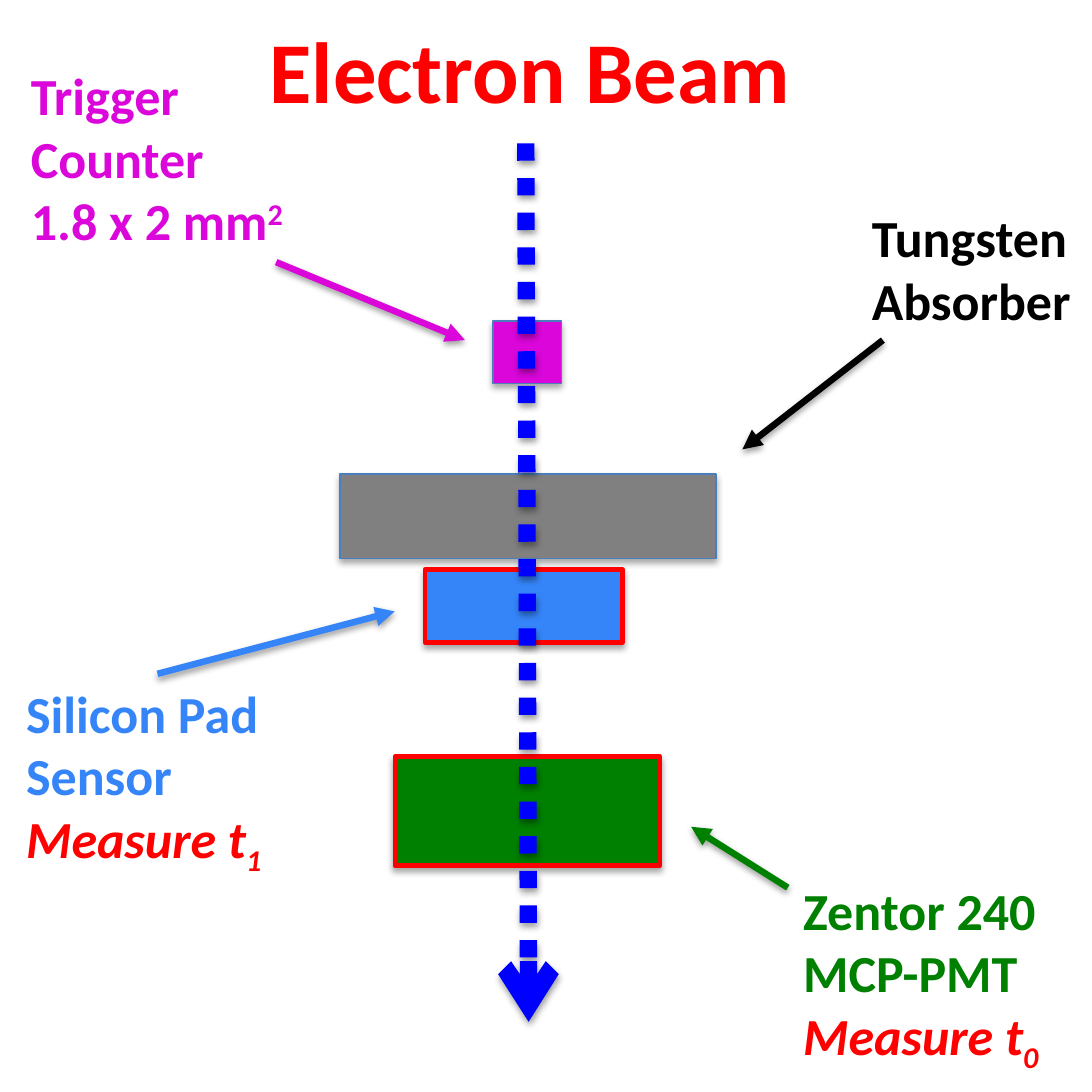
from pptx import Presentation
from pptx.dml.color import RGBColor as RGB
from pptx.enum.shapes import MSO_CONNECTOR as Conn, MSO_SHAPE as Kind
from pptx.enum.text import MSO_AUTO_SIZE as Fit
from pptx.oxml import parse_xml
from pptx.oxml.ns import nsdecls, qn
from pptx.util import Pt

theme = dict(
    font="Calibri", head=40, body=24,
    red="FF0000", pink="DA06DA", gray="808080", sky="3585F9",
    green="008000", black="000000", beam="0000FF", edge="4B7EBC",
)

# Content: lengths in points
# Labels: left, top, width, height, size, color, wrap, lines
# Each line: text, raised or lowered suffix, its baseline in percent
labels = [
    (117.4, 4.3, 262, 55.4, "head", "red", True, [("Electron Beam", "", 0)]),
    (7.2, 25.9, 136.8, 94.3, "body", "pink", False,
     [("Trigger", "", 0), ("Counter", "", 0), ("1.8 x 2 mm", "2", 30)]),
    (395.3, 91.4, 106.6, 64.8, "body", "black", False,
     [("Tungsten", "", 0), ("Absorber", "", 0)]),
    (5, 311, 136, 94.3, "body", "sky", True,
     [("Silicon Pad", "", 0), ("Sensor", "", 0), ("Measure t", "1", -25)]),
    (363.6, 401.8, 140.4, 94.3, "body", "green", True,
     [("Zentor 240", "", 0), ("MCP-PMT", "", 0), ("Measure t", "0", -25)]),
]

# Detectors: left, top, width, height, fill, edge, edge width
blocks = [
    (227.5, 148.3, 31.7, 28.8, "pink", "edge", 0.75),
    (157, 218.9, 173.5, 38.9, "gray", "edge", 0.75),
    (196.2, 262.8, 91.1, 33.8, "sky", "red", 2),
    (182.2, 349.2, 122.4, 50.4, "green", "red", 2),
]

# Arrows: start x, start y, end x, end y, color, width, head, dash
beam = (242.7, 66.2, 244, 471.6, "beam", 8, "arrow", "sysDot")
leads = [
    (127.5, 121, 214.6, 157, "pink"),
    (72.7, 311, 182.2, 282.2, "sky"),
    (407.5, 157, 342.7, 207.4, "black"),
    (363.6, 409.7, 319, 381.6, "green"),
]

deck = Presentation()
deck.slide_width = deck.slide_height = Pt(504)
slide = deck.slides.add_slide(deck.slide_layouts[6])
parts = slide.shapes


def hue(name):
    return RGB.from_string(theme[name])


def shade(part, dist, alpha):
    """Cast a soft shadow straight down."""
    props = part._element.spPr
    for old in props.findall(qn("a:effectLst")):
        props.remove(old)
    props.append(parse_xml(
        f'<a:effectLst {nsdecls("a")}><a:outerShdw blurRad="{Pt(3.1)}" '
        f'dist="{Pt(dist)}" dir="5400000" rotWithShape="0">'
        f'<a:srgbClr val="000000"><a:alpha val="{alpha * 1000}"/></a:srgbClr>'
        '</a:outerShdw></a:effectLst>'))


def block(x, y, w, h, fill, edge, thick):
    box = parts.add_shape(Kind.RECTANGLE, Pt(x), Pt(y), Pt(w), Pt(h))
    box.fill.solid()
    box.fill.fore_color.rgb = hue(fill)
    box.line.color.rgb = hue(edge)
    box.line.width = Pt(thick)
    shade(box, 1.8, 35)


def arrow(x1, y1, x2, y2, color, thick=3, head="triangle", dash="solid"):
    line = parts.add_connector(Conn.STRAIGHT, Pt(x1), Pt(y1), Pt(x2), Pt(y2))
    line.line.color.rgb = hue(color)
    line.line.width = Pt(thick)
    stroke = line.line._get_or_add_ln()
    for tag, attr, value in (("prstDash", "val", dash), ("tailEnd", "type", head)):
        stroke.append(parse_xml(f'<a:{tag} {nsdecls("a")} {attr}="{value}"/>'))
    shade(line, 1.6, 38)


def label(x, y, w, h, size, color, wrap, lines):
    box = parts.add_textbox(Pt(x), Pt(y), Pt(w), Pt(h))
    frame = box.text_frame
    frame.word_wrap = wrap
    frame.auto_size = Fit.SHAPE_TO_FIT_TEXT
    for i, (text, mark, shift) in enumerate(lines):
        para = frame.add_paragraph() if i else frame.paragraphs[0]
        para.text = text
        if mark:
            run = para.add_run()
            run.text = mark
            run.font._element.set("baseline", str(shift * 1000))
        timed = shift < 0
        for run in para.runs:
            font = run.font
            font.name, font.size = theme["font"], Pt(theme[size])
            font.bold = True
            font.color.rgb = hue("red" if timed else color)
            if timed:
                font.italic = True


# Detectors first, then the beam across them, then labels and leads
for item in blocks:
    block(*item)
arrow(*beam)
for item in labels:
    label(*item)
for item in leads:
    arrow(*item)

deck.save("out.pptx")
